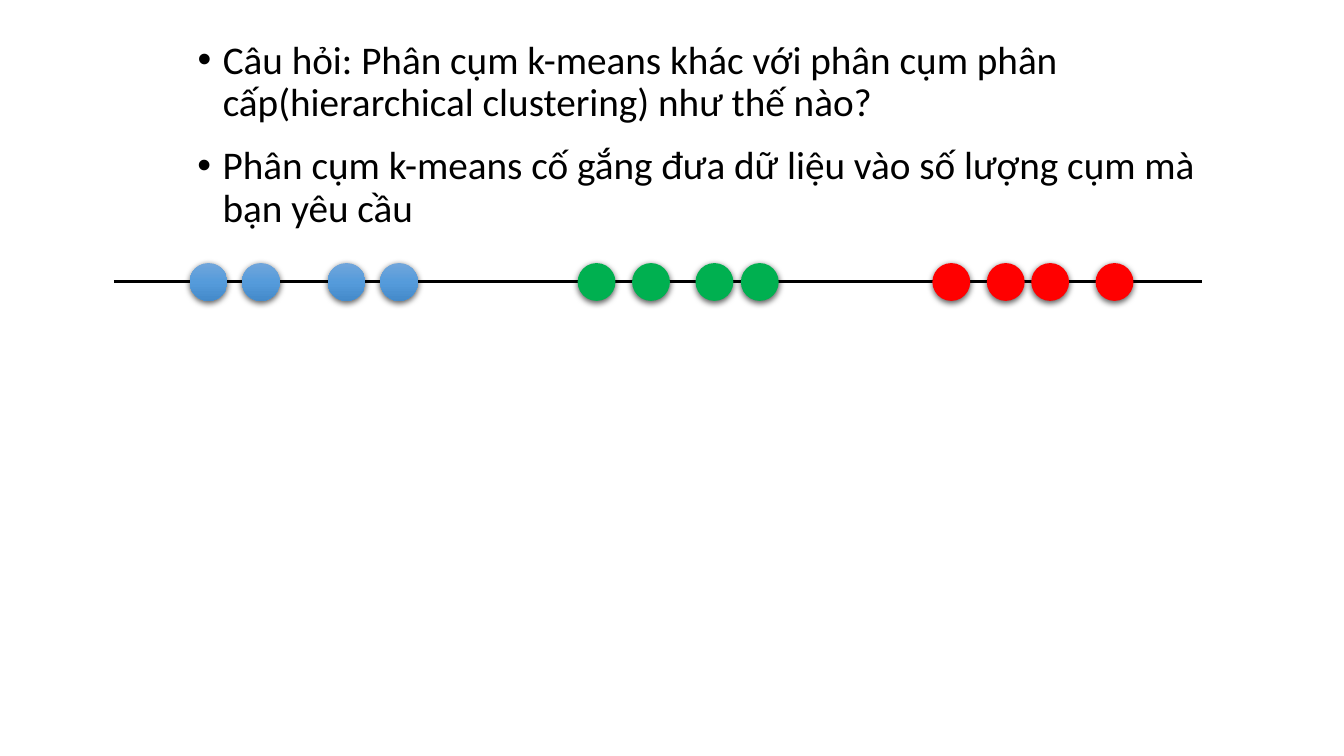
from lxml import etree
from pptx import Presentation
from pptx.dml.color import RGBColor
from pptx.enum.shapes import MSO_CONNECTOR, MSO_SHAPE
from pptx.enum.text import MSO_ANCHOR, MSO_AUTO_SIZE, PP_ALIGN
from pptx.oxml import parse_xml
from pptx.oxml.ns import nsdecls, qn
from pptx.util import Pt

STRAIGHT = MSO_CONNECTOR.STRAIGHT
CIRCLE = MSO_SHAPE.FLOWCHART_CONNECTOR
TOP = MSO_ANCHOR.TOP
NO_AUTOFIT = MSO_AUTO_SIZE.NONE
LEFT = PP_ALIGN.LEFT

BLACK = RGBColor(0x00, 0x00, 0x00)
GREEN = RGBColor(0x00, 0xB0, 0x50)
RED = RGBColor(0xFF, 0x00, 0x00)
BLUE_STOPS = (
    (0, RGBColor(0x71, 0xA6, 0xDB)),
    (50, RGBColor(0x55, 0x9B, 0xDB)),
    (100, RGBColor(0x44, 0x8A, 0xCA)),
)

FONT = "Calibri"
QUESTION = "Câu hỏi: Phân cụm k-means khác với phân cụm phân cấp(hierarchical clustering) như thế nào?"
ANSWER = "Phân cụm k-means cố gắng đưa dữ liệu vào số lượng cụm mà bạn yêu cầu"

TEXT_LEFT, TEXT_TOP, TEXT_WIDTH, TEXT_HEIGHT = 133.9, 25.2, 752.4, 75.6
TRACK_BOX = (81.4, 187.9, 776.9, 27)
CLUSTERS = (
    (54, (0, 37.4, 98.6, 136.1), None),
    (331.2, (0, 38.9, 84.2, 116.6), GREEN),
    (584.6, (0, 38.9, 70.6, 116.6), RED),
)


def write_bullet(holder, text, box):
    """Place one bulleted statement in the given box."""
    holder.left, holder.top, holder.width, holder.height = map(Pt, box)
    frame = holder.text_frame
    frame.word_wrap = True
    frame.auto_size = NO_AUTOFIT
    frame.vertical_anchor = TOP
    statement = frame.paragraphs[0]
    statement.text = text
    properties = statement._p.get_or_add_pPr()
    properties.set("marL", str(Pt(18)))
    properties.set("indent", str(-Pt(18)))
    etree.SubElement(properties, qn("a:buFont"), typeface="Arial")
    etree.SubElement(properties, qn("a:buChar"), char="•")
    statement.alignment = LEFT
    statement.line_spacing = 0.9
    statement.space_before = Pt(0)
    statement.font.name = FONT
    statement.font.size = Pt(28)
    statement.font.color.rgb = BLACK


def apply_blue_gradient(point):
    """Fill a data point with the vertical blue gradient."""
    stops = "".join(
        f'<a:gs pos="{position * 1000}"><a:srgbClr val="{color}"/></a:gs>'
        for position, color in BLUE_STOPS
    )
    gradient = parse_xml(
        f'<a:gradFill {nsdecls("a")} rotWithShape="1"><a:gsLst>{stops}</a:gsLst>'
        '<a:lin ang="5400000" scaled="0"/></a:gradFill>'
    )
    point._element.spPr.find(qn("a:prstGeom")).addnext(gradient)


def add_point(slide, left, top, size, color):
    """Draw one data point with a soft shadow below it."""
    point = slide.shapes.add_shape(CIRCLE, Pt(left), Pt(top), Pt(size), Pt(size))
    point.line.fill.background()
    if color is None:
        apply_blue_gradient(point)
    else:
        point.fill.solid()
        point.fill.fore_color.rgb = color
    point.shadow.inherit = False
    effects = point._element.spPr.find(qn("a:effectLst"))
    effects.append(parse_xml(
        f'<a:outerShdw {nsdecls("a")} blurRad="{Pt(4.5)}" dist="{Pt(1.5)}" '
        'dir="5400000" algn="ctr" rotWithShape="0"><a:srgbClr val="000000">'
        '<a:alpha val="63000"/></a:srgbClr></a:outerShdw>'
    ))


def add_number_line(slide, box):
    """Draw the axis across the box and the three clusters on it."""
    left, top, width, height = box
    middle = top + height / 2
    axis = slide.shapes.add_connector(
        STRAIGHT, Pt(left), Pt(middle), Pt(left + width), Pt(middle)
    )
    axis.line.color.rgb = BLACK
    axis.line.width = Pt(2.25)
    etree.SubElement(axis._element.spPr, qn("a:effectLst"))
    for start, offsets, color in CLUSTERS:
        for offset in offsets:
            add_point(slide, left + start + offset, top, height, color)


def build_slide(presentation):
    """Add the clustering slide with its statements and number line."""
    slide = presentation.slides.add_slide(presentation.slide_layouts[1])
    title = slide.shapes.title._element
    title.getparent().remove(title)
    question = slide.placeholders[1]
    answer = slide.shapes.add_textbox(0, 0, 0, 0)
    for row, (holder, text) in enumerate(((question, QUESTION), (answer, ANSWER))):
        top = TEXT_TOP + row * TEXT_HEIGHT
        write_bullet(holder, text, (TEXT_LEFT, top, TEXT_WIDTH, TEXT_HEIGHT))
    add_number_line(slide, TRACK_BOX)


def main():
    """Create and save the presentation."""
    presentation = Presentation()
    presentation.slide_width = Pt(960)
    presentation.slide_height = Pt(540)
    build_slide(presentation)
    presentation.save("out.pptx")


if __name__ == "__main__":
    main()
